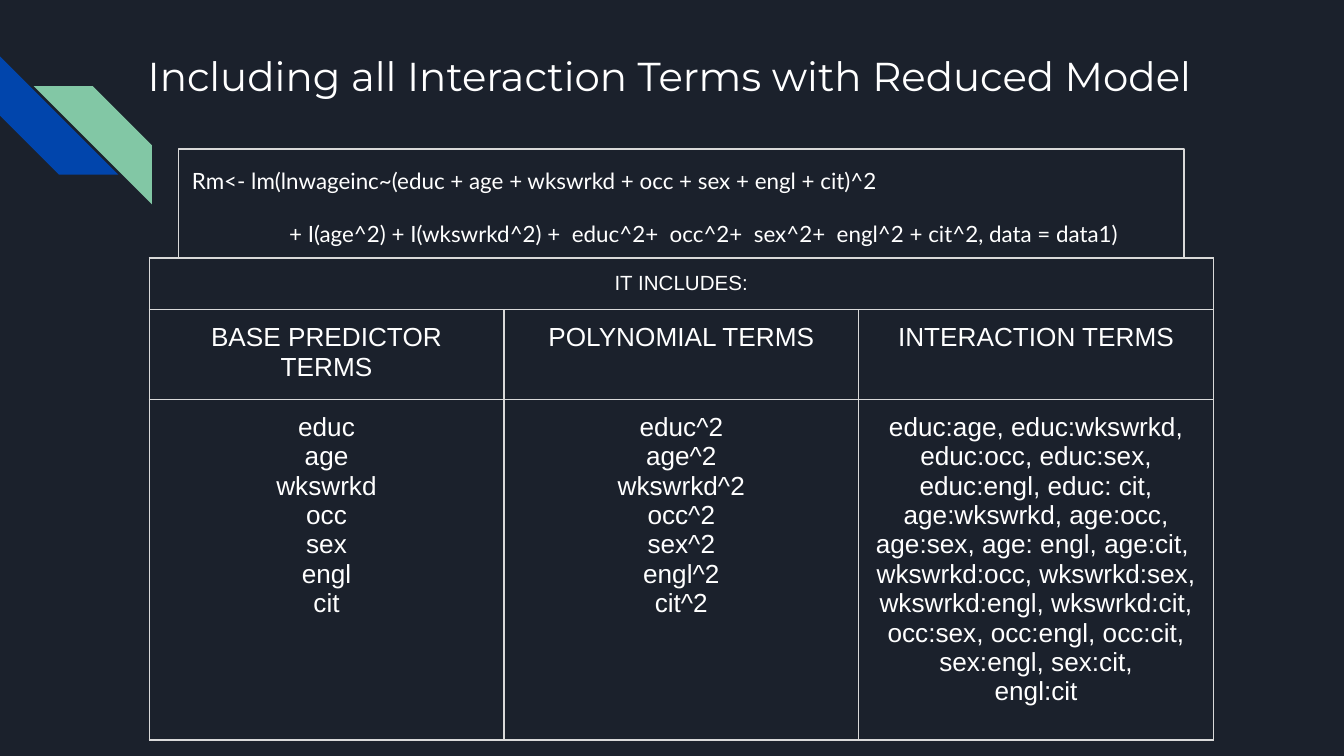
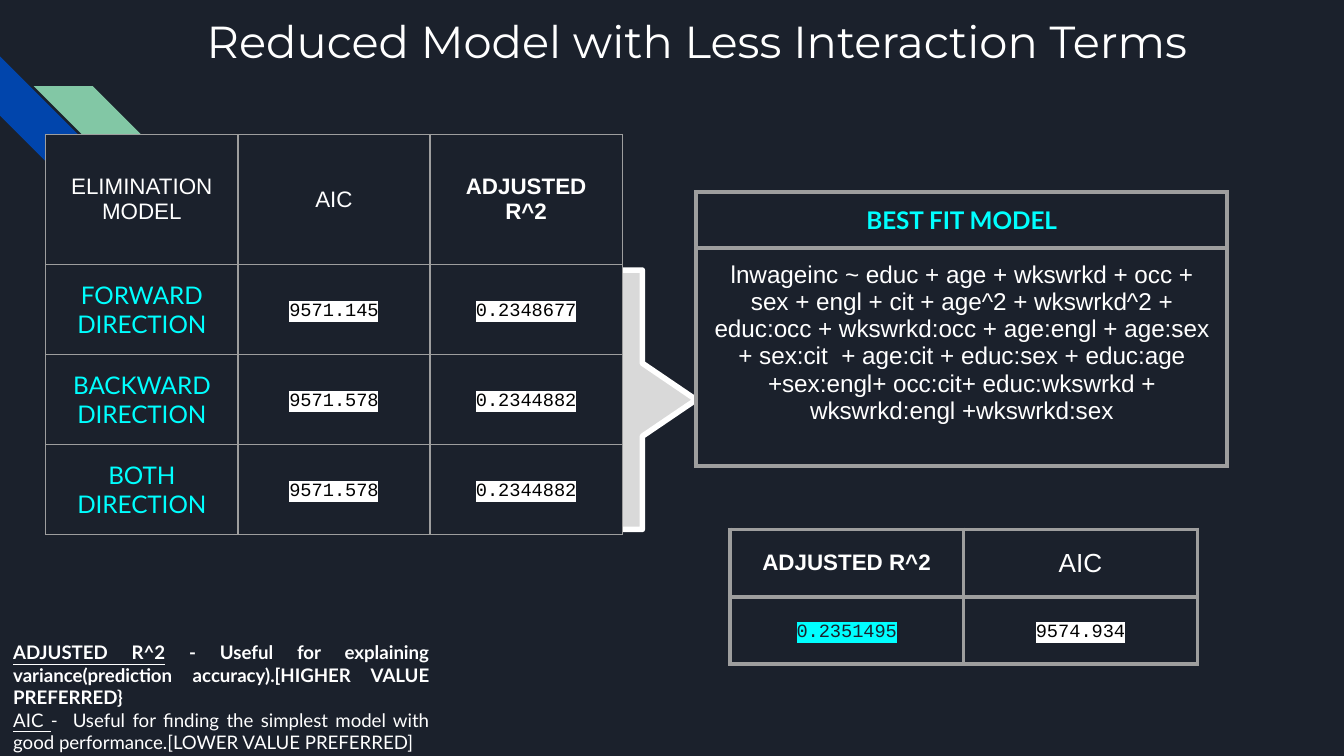
"""Build two slides on regression models with interaction terms."""
import copy

import lxml.etree
import pptx
import pptx.dml.color
import pptx.enum.shapes
import pptx.enum.text
import pptx.oxml.ns
import pptx.util

Inches = pptx.util.Inches
Shapes = pptx.enum.shapes.MSO_SHAPE
Align = pptx.enum.text.PP_ALIGN
Anchor = pptx.enum.text.MSO_ANCHOR
qn = pptx.oxml.ns.qn

NAVY, WHITE, BLACK, CYAN = "1B212C", "FFFFFF", "000000", "00FFFF"
BLUE, GREEN, SILVER, GREY = "0145AC", "82C7A5", "D9D9D9", "9E9E9E"
MARGIN = Inches(0.1)

PLAIN = {"size": 14, "font": "Arial", "color": WHITE}
BANNER = PLAIN | {"size": 11}
HEADER = PLAIN | {"size": 12}
STRONG = HEADER | {"bold": True}
FORMULA = PLAIN | {"size": 13}
CODE = {"size": 12, "font": "Lato", "color": WHITE, "spacing": 1.15}
DIRECTION = {"size": 13, "font": "Lato", "color": CYAN}
BEST = DIRECTION | {"bold": True}
NUMBER = {"size": 10, "font": "Courier New", "color": BLACK,
          "highlight": WHITE, "spacing": 1.2}
BEST_NUMBER = NUMBER | {"color": NAVY, "highlight": CYAN}
NOTE = {"size": 10, "font": "Lato", "color": WHITE}

MODEL_CODE = [
    "Rm<- lm(lnwageinc~(educ + age + wkswrkd + occ + sex + engl + cit)^2",
    "                 + I(age^2) + I(wkswrkd^2) +  educ^2+  occ^2+  sex^2+  "
    "engl^2 + cit^2, data = data1)",
]
PREDICTORS = ["educ", "age", "wkswrkd", "occ", "sex", "engl", "cit"]
INTERACTIONS = """educ:age, educ:wkswrkd, educ:occ, educ:sex, educ:engl, educ: cit,
age:wkswrkd, age:occ, age:sex, age: engl, age:cit, 
wkswrkd:occ, wkswrkd:sex, wkswrkd:engl, wkswrkd:cit,
occ:sex, occ:engl, occ:cit,
sex:engl, sex:cit,
engl:cit"""
TERM_ROWS = [
    [("IT INCLUDES:", BANNER)],
    [(f"{name} TERMS", PLAIN)
     for name in ("BASE PREDICTOR", "POLYNOMIAL", "INTERACTION")],
    [(PREDICTORS, PLAIN), ([f"{name}^2" for name in PREDICTORS], PLAIN),
     (INTERACTIONS, PLAIN)],
]
ELIMINATIONS = [
    ("FORWARD", "9571.145", "0.2348677"),
    ("BACKWARD", "9571.578", "0.2344882"),
    ("BOTH", "9571.578", "0.2344882"),
]
ELIMINATION_ROWS = [
    [("ELIMINATION MODEL", HEADER), ("AIC", HEADER), ("ADJUSTED R^2", STRONG)],
] + [
    [(f"{name} DIRECTION", DIRECTION), (aic, NUMBER), (fit, NUMBER)]
    for name, aic, fit in ELIMINATIONS
]
BEST_FORMULA = (
    "lnwageinc ~ educ + age + wkswrkd + occ + sex + engl + cit + age^2 + "
    "wkswrkd^2 + educ:occ + wkswrkd:occ + age:engl + age:sex + sex:cit  + "
    "age:cit + educ:sex + educ:age +sex:engl+ occ:cit+ educ:wkswrkd + "
    "wkswrkd:engl +wkswrkd:sex"
)
BEST_ROWS = [[("BEST FIT MODEL", BEST)], [(BEST_FORMULA, FORMULA)]]
SCORE_ROWS = [
    [("ADJUSTED R^2", STRONG), ("AIC", PLAIN)],
    [("0.2351495", BEST_NUMBER), ("9574.934", NUMBER)],
]
NOTES = [
    [("ADJUSTED R^2", {"bold": True, "underline": True}),
     (" - Useful for explaining variance(prediction accuracy)."
      "[HIGHER VALUE PREFERRED}", {"bold": True})],
    [("AIC ", {"underline": True}),
     ("-  Useful for finding the simplest model with good performance."
      "[LOWER VALUE PREFERRED]", {})],
]


def rgb(value):
    return pptx.dml.color.RGBColor.from_string(value)


def format_span(span, style):
    span.font.size = pptx.util.Pt(style["size"])
    span.font.name = style["font"]
    span.font.bold = style.get("bold", False)
    span.font.underline = style.get("underline", False)
    span.font.color.rgb = rgb(style["color"])
    if "highlight" in style:
        highlight = lxml.etree.Element(qn("a:highlight"))
        lxml.etree.SubElement(highlight, qn("a:srgbClr"), val=style["highlight"])
        span.font._element.find(qn("a:solidFill")).addnext(highlight)


def write(frame, content, style, align=Align.LEFT, gap=0):
    paras = [content] if isinstance(content, str) else content
    for index, parts in enumerate(paras):
        para = frame.add_paragraph() if index else frame.paragraphs[0]
        para.alignment = align
        if "spacing" in style:
            para.line_spacing = style["spacing"]
        if index and gap:
            para.space_before = pptx.util.Pt(gap)
        if isinstance(parts, str):
            para.text = parts
            for span in para.runs:
                format_span(span, style)
            for line_break in para._p.findall(qn("a:br")):
                line_break.append(copy.deepcopy(para.runs[0].font._element))
        else:
            for text, changes in parts:
                span = para.add_run()
                span.text = text
                format_span(span, style | changes)


def set_margins(frame):
    frame.margin_left = frame.margin_right = MARGIN
    frame.margin_top = frame.margin_bottom = MARGIN


def add_text(page, place, content, style, **options):
    box = page.shapes.add_textbox(*map(Inches, place))
    box.text_frame.word_wrap = True
    set_margins(box.text_frame)
    write(box.text_frame, content, style, **options)
    return box


def add_shape(page, kind, place, fill):
    shape = page.shapes.add_shape(kind, *map(Inches, place))
    shape.shadow.inherit = False
    shape.fill.solid()
    shape.fill.fore_color.rgb = rgb(fill)
    shape.line.fill.background()
    return shape


def set_borders(cell, color, width):
    properties = cell._tc.get_or_add_tcPr()
    for index, side in enumerate(("lnL", "lnR", "lnT", "lnB")):
        line = lxml.etree.Element(qn(f"a:{side}"), w=str(pptx.util.Pt(width)))
        fill = lxml.etree.SubElement(line, qn("a:solidFill"))
        lxml.etree.SubElement(fill, qn("a:srgbClr"), val=color)
        properties.insert(index, line)


def add_table(page, corner, column, heights, rows, border, width,
              anchor=Anchor.MIDDLE, filled=()):
    count = len(rows[-1])
    table = page.shapes.add_table(
        len(rows), count, *map(Inches, corner),
        Inches(column * count), Inches(sum(heights))).table
    table.first_row = table.horz_banding = False
    for each in table.columns:
        each.width = Inches(column)
    for row, (height, values) in enumerate(zip(heights, rows)):
        table.rows[row].height = Inches(height)
        for index, (content, style) in enumerate(values):
            write(table.cell(row, index).text_frame, content, style, Align.CENTER)
        for index in range(count):
            cell = table.cell(row, index)
            set_margins(cell)
            cell.vertical_anchor = anchor
            if row in filled:
                cell.fill.solid()
                cell.fill.fore_color.rgb = rgb(NAVY)
            else:
                cell.fill.background()
            set_borders(cell, border, width)
        if len(values) < count:
            table.cell(row, 0).merge(table.cell(row, count - 1))
    return table


def add_page(deck):
    page = deck.slides.add_slide(deck.slide_layouts[6])
    page.background.fill.solid()
    page.background.fill.fore_color.rgb = rgb(NAVY)
    blue = add_shape(page, Shapes.DIAGONAL_STRIPE, (0, 0.42, 0.88, 0.88), BLUE)
    blue.rotation = 270
    green = add_shape(page, Shapes.DIAGONAL_STRIPE, (0.25, 0.64, 0.88, 0.88), GREEN)
    green._element.spPr.find(qn("a:xfrm")).set("flipH", "1")
    return page


def add_title(page, place, text, size):
    add_text(page, place, text, {"size": size, "font": "Montserrat", "color": WHITE})


def build_interactions(deck):
    page = add_page(deck)
    add_title(page, (1, 0.28, 8.13, 1),
              "Including all Interaction Terms with Reduced Model", 21.6)
    box = add_text(page, (1.33, 1.11, 7.48, 0.81), MODEL_CODE, CODE, gap=12)
    box.line.color.rgb = rgb(SILVER)
    box.line.width = pptx.util.Pt(0.75)
    add_table(page, (1.11, 1.92), 2.64, (0.37, 0.63, 2.4), TERM_ROWS,
              SILVER, 0.75, Anchor.TOP)


def build_reduced(deck):
    page = add_page(deck)
    callout = add_shape(page, Shapes.RIGHT_ARROW_CALLOUT,
                        (4.58, 2.01, 0.6, 1.93), SILVER)
    for index, value in enumerate((0.906, 0.453, 0.667, 0.65)):
        callout.adjustments[index] = value
    callout.line.color.rgb = rgb(WHITE)
    callout.line.width = pptx.util.Pt(3)
    add_title(page, (1.44, 0, 7.7, 1), "Reduced Model with Less Interaction Terms", 24)
    add_table(page, (0.34, 1), 1.43, (0.97, 0.67, 0.67, 0.67), ELIMINATION_ROWS,
              GREY, 0.75, filled=range(4))
    best = add_table(page, (5.18, 1.43), 3.95, (0.41, 1.62), BEST_ROWS, GREY, 2.25,
                     filled=(1,))
    best.cell(1, 0).vertical_anchor = Anchor.TOP
    add_table(page, (5.43, 3.94), 1.74, (0.5, 0.5), SCORE_ROWS, GREY, 2.25)
    add_text(page, (0, 4.67, 3.29, 0.91), NOTES, NOTE, align=Align.JUSTIFY)


def main():
    deck = pptx.Presentation()
    deck.slide_width = Inches(10)
    deck.slide_height = deck.slide_width * 9 // 16
    build_interactions(deck)
    build_reduced(deck)
    deck.save("out.pptx")


if __name__ == "__main__":
    main()
